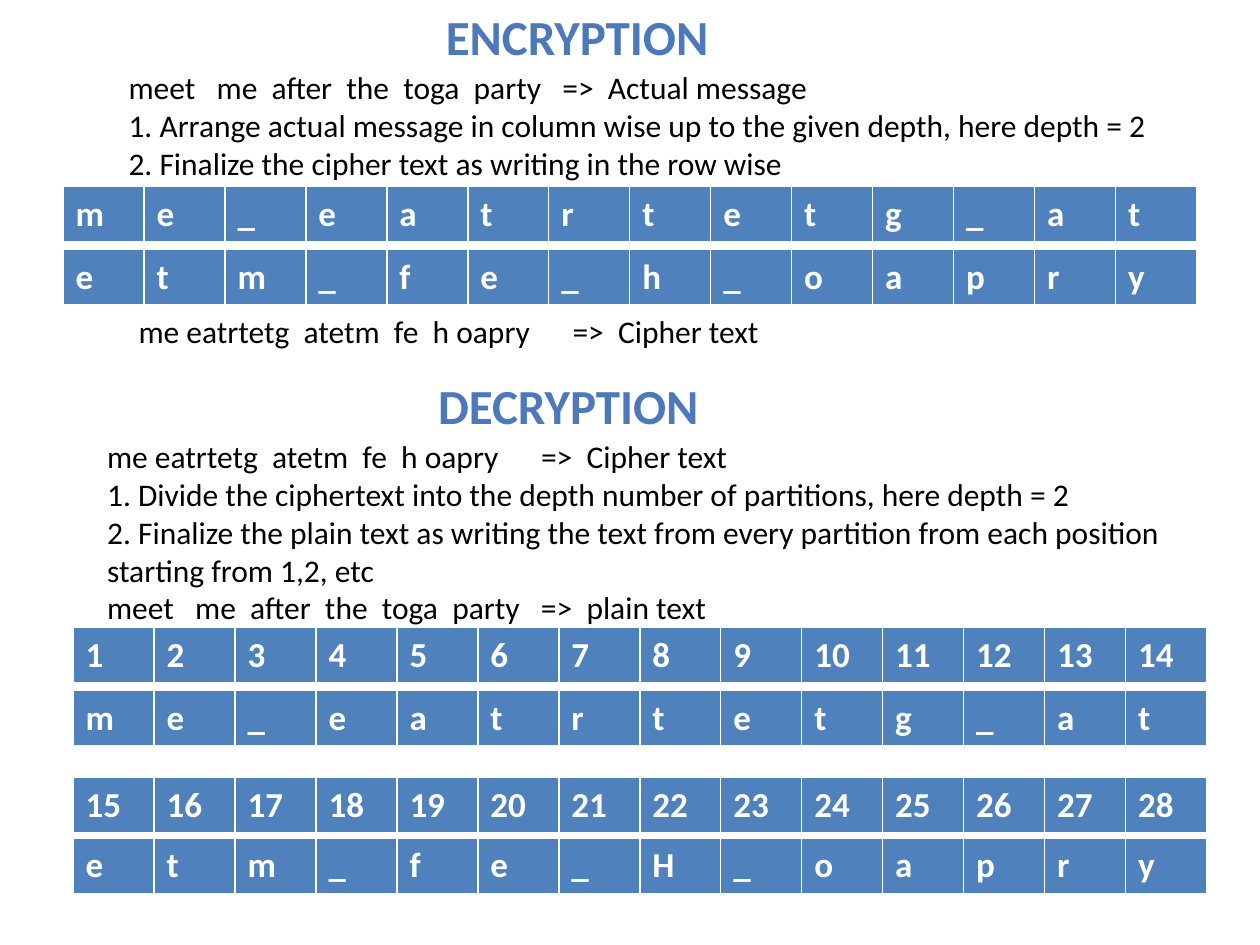
"""Build the rail fence cipher slide with its encryption and decryption steps."""
from dataclasses import dataclass
from typing import Sequence

from lxml import etree
from pptx import Presentation
from pptx import util as u
from pptx.dml.color import RGBColor
from pptx.enum import text
from pptx.oxml import ns

FONT = "Calibri"
BLACK, WHITE, BLUE, HEADING = "000000", "FFFFFF", "4F81BD", "4D79BC"
TABLE_W, ROW_H = 9, 0.41


@dataclass
class TextBlock:
    """A placeholder with its position and lines."""
    idx: int
    left: float
    top: float
    width: float
    height: float
    lines: Sequence[str]
    heading: bool = False


@dataclass
class Strip:
    """A one-row table of letters or positions."""
    left: float
    top: float
    values: Sequence[str]


def style(r, size: float, color: str, bold: bool) -> None:
    """Format a run."""
    r.font.name, r.font.size, r.font.bold = FONT, u.Pt(size), bold
    r.font.color.rgb = RGBColor.from_string(color)


def add_text(slide, block: TextBlock) -> None:
    """Move, fill and format a placeholder."""
    sp = slide.placeholders[block.idx]
    sp.left, sp.top = u.Inches(block.left), u.Inches(block.top)
    sp.width, sp.height = u.Inches(block.width), u.Inches(block.height)
    tf = sp.text_frame
    tf.text = "\n".join(block.lines)
    tf.word_wrap = True
    tf.auto_size = text.MSO_AUTO_SIZE.NONE
    tf.vertical_anchor = text.MSO_ANCHOR.TOP
    for p in tf.paragraphs:
        p.alignment = text.PP_ALIGN.CENTER if block.heading else text.PP_ALIGN.LEFT
        p.space_before = u.Pt(0)
        pPr = p._p.get_or_add_pPr()
        pPr.set("marL", "0")
        pPr.set("indent", "0")
        etree.SubElement(pPr, ns.qn("a:buNone"))
        for r in p.runs:
            style(r, 28 if block.heading else 18,
                  HEADING if block.heading else BLACK, block.heading)


def add_strip(slide, strip: Strip) -> None:
    """Draw a one-row table with equal columns."""
    count = len(strip.values)
    table = slide.shapes.add_table(
        1, count, u.Inches(strip.left), u.Inches(strip.top),
        u.Inches(TABLE_W), u.Inches(ROW_H)).table
    for col, value in enumerate(strip.values):
        table.columns[col].width = u.Inches(TABLE_W / count)
        cell = table.cell(0, col)
        cell.fill.solid()
        cell.fill.fore_color.rgb = RGBColor.from_string(BLUE)
        cell.text_frame.text = value
        style(cell.text_frame.paragraphs[0].runs[0], 20, WHITE, True)


CIPHER = "me eatrtetg  atetm  fe  h oapry      =>  Cipher text"
MESSAGE = "meet   me  after  the  toga  party   =>  "
BLOCKS = [
    TextBlock(0, 2.74, 0, 3.68, 0.57, ["ENCRYPTION"], True),
    TextBlock(2, 0.92, 0.49, 8.42, 1.01, [
        MESSAGE + "Actual message",
        "1. Arrange actual message in column wise up to the given depth, here depth = 2",
        "2. Finalize the cipher text as writing in the row wise"]),
    TextBlock(3, 1, 2.43, 8.42, 0.4, [CIPHER]),
    TextBlock(1, 2.67, 2.93, 3.68, 0.57, ["DECRYPTION"], True),
    TextBlock(4, 0.75, 3.42, 8.75, 1.92, [
        CIPHER,
        "1. Divide the ciphertext into the depth number of partitions, here depth = 2",
        "2. Finalize the plain text as writing the text from every partition "
        "from each position starting from 1,2, etc",
        MESSAGE + "plain text"]),
]
STRIPS = [
    Strip(0.5, 1.48, "me_eatrtetg_at"),
    Strip(0.5, 1.98, "etm_fe_h_oapry"),
    Strip(0.58, 4.98, [str(n) for n in range(1, 15)]),
    Strip(0.58, 5.48, "me_eatrtetg_at"),
    Strip(0.58, 6.17, [str(n) for n in range(15, 29)]),
    Strip(0.58, 6.65, "etm_fe_H_oapry"),
]


def main() -> None:
    """Create and save the slide."""
    prs = Presentation()
    prs.slide_width, prs.slide_height = u.Inches(10), u.Inches(7.5)
    slide = prs.slides.add_slide(prs.slide_layouts.get_by_name("Comparison"))
    for block in BLOCKS:
        add_text(slide, block)
    for strip in STRIPS:
        add_strip(slide, strip)
    prs.save("out.pptx")


main()
